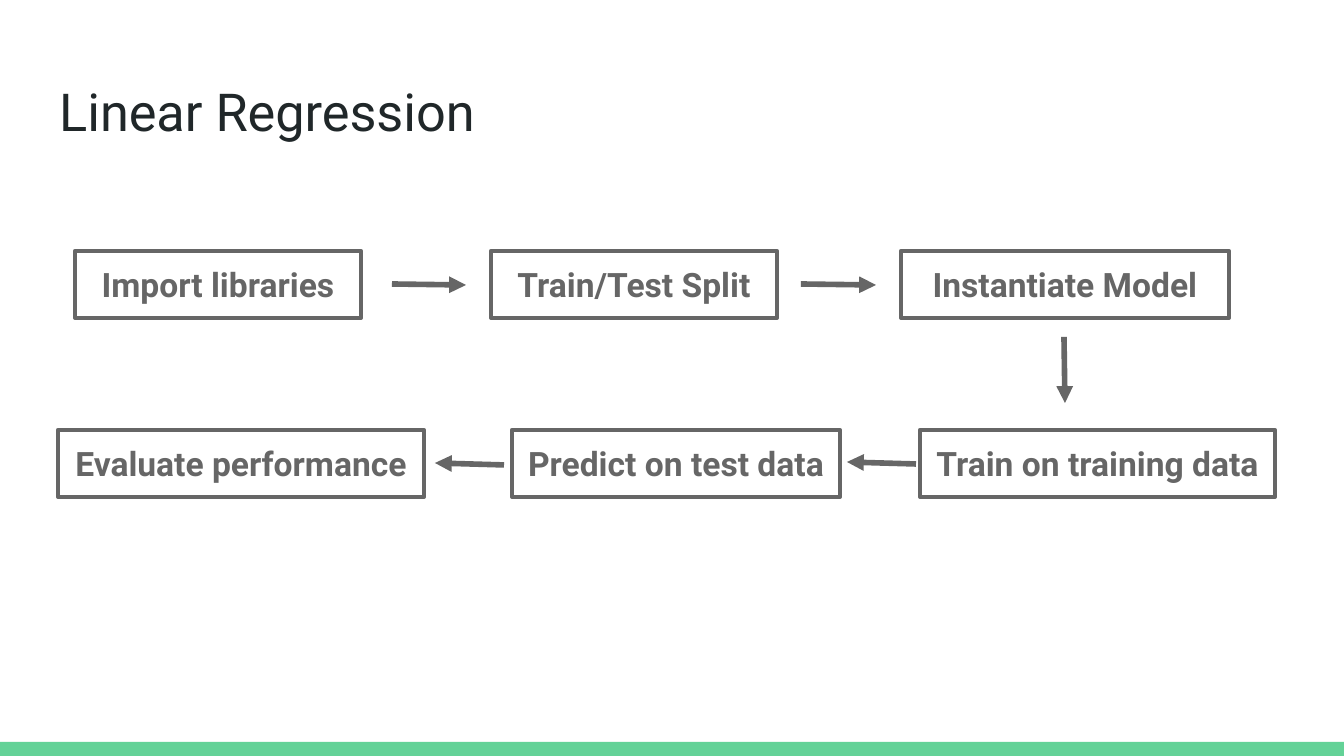
from lxml import etree
from pptx import Presentation
from pptx import util as u
from pptx.dml import color
from pptx.enum import shapes, text
from pptx.oxml import ns

PX = 914400 / 134.4
FONT = "Roboto"
GRAY = "666666"
GREEN = "63D297"
DARK = "202729"
BOX_HEIGHT = 67
TOP_ROW = 251
BOTTOM_ROW = 430

STEPS = [
    ("Import libraries", 75, TOP_ROW, 286),
    ("Train/Test Split", 491, TOP_ROW, 286),
    ("Instantiate Model", 901, TOP_ROW, 328),
    ("Train on training data", 920, BOTTOM_ROW, 355),
    ("Predict on test data", 512, BOTTOM_ROW, 328),
    ("Evaluate performance", 58, BOTTOM_ROW, 366),
]
ARROWS = [
    (392, 284, 466, 285),
    (801, 284, 876, 285),
    (1064, 337, 1065, 403),
    (916, 464, 847, 462),
    (504, 465, 435, 463),
]


def px(value):
    return u.Emu(round(value * PX))


def rgb(value):
    return color.RGBColor.from_string(value)


def add_xml(parent, tag, **attributes):
    return etree.SubElement(parent, ns.qn(tag), attributes)


class FlowSlide:
    def __init__(self, slide):
        self.slide = slide

    def label(self, shape, content, size, hue, bold=False, centered=False):
        frame = shape.text_frame
        frame.word_wrap = True
        frame.margin_left = frame.margin_right = u.Inches(0.1)
        frame.margin_top = frame.margin_bottom = u.Inches(0.1)
        frame.vertical_anchor = text.MSO_ANCHOR.MIDDLE if centered else text.MSO_ANCHOR.TOP
        frame.text = content
        paragraph = frame.paragraphs[0]
        paragraph.alignment = text.PP_ALIGN.CENTER if centered else text.PP_ALIGN.LEFT
        font = paragraph.runs[0].font
        font.name = FONT
        font.size = u.Pt(size)
        font.bold = bold
        font.color.rgb = rgb(hue)

    def title(self, content, left, top, width, height):
        shape = self.slide.shapes.add_textbox(px(left), px(top), px(width), px(height))
        self.label(shape, content, 28, DARK)

    def rectangle(self, left, top, width, height):
        shape = self.slide.shapes.add_shape(
            shapes.MSO_SHAPE.RECTANGLE, px(left), px(top), px(width), px(height))
        shape.shadow.inherit = False
        return shape

    def bar(self, left, top, width, height):
        shape = self.rectangle(left, top, width, height)
        shape.fill.solid()
        shape.fill.fore_color.rgb = rgb(GREEN)
        shape.line.fill.background()

    def step(self, content, left, top, width):
        shape = self.rectangle(left, top, width, BOX_HEIGHT)
        shape.fill.background()
        shape.line.color.rgb = rgb(GRAY)
        shape.line.width = u.Pt(2.25)
        add_xml(shape._element.spPr.find(ns.qn("a:ln")), "a:round")
        self.label(shape, content, 18, GRAY, bold=True, centered=True)

    def arrow(self, *ends):
        connector = self.slide.shapes.add_connector(
            shapes.MSO_CONNECTOR.STRAIGHT, *map(px, ends))
        connector.line.color.rgb = rgb(GRAY)
        connector.line.width = u.Pt(3)
        properties = connector._element.spPr
        add_xml(properties.find(ns.qn("a:ln")), "a:tailEnd", type="triangle")
        add_xml(properties, "a:effectLst")


def main():
    presentation = Presentation()
    presentation.slide_width = px(1344)
    presentation.slide_height = px(756)
    flow = FlowSlide(presentation.slides.add_slide(presentation.slide_layouts[6]))
    flow.bar(0, 742, 1344, 14)
    flow.title("Linear Regression", 46, 66, 1252, 84)
    for step in STEPS:
        flow.step(*step)
    for arrow in ARROWS:
        flow.arrow(*arrow)
    presentation.save("out.pptx")


if __name__ == "__main__":
    main()
